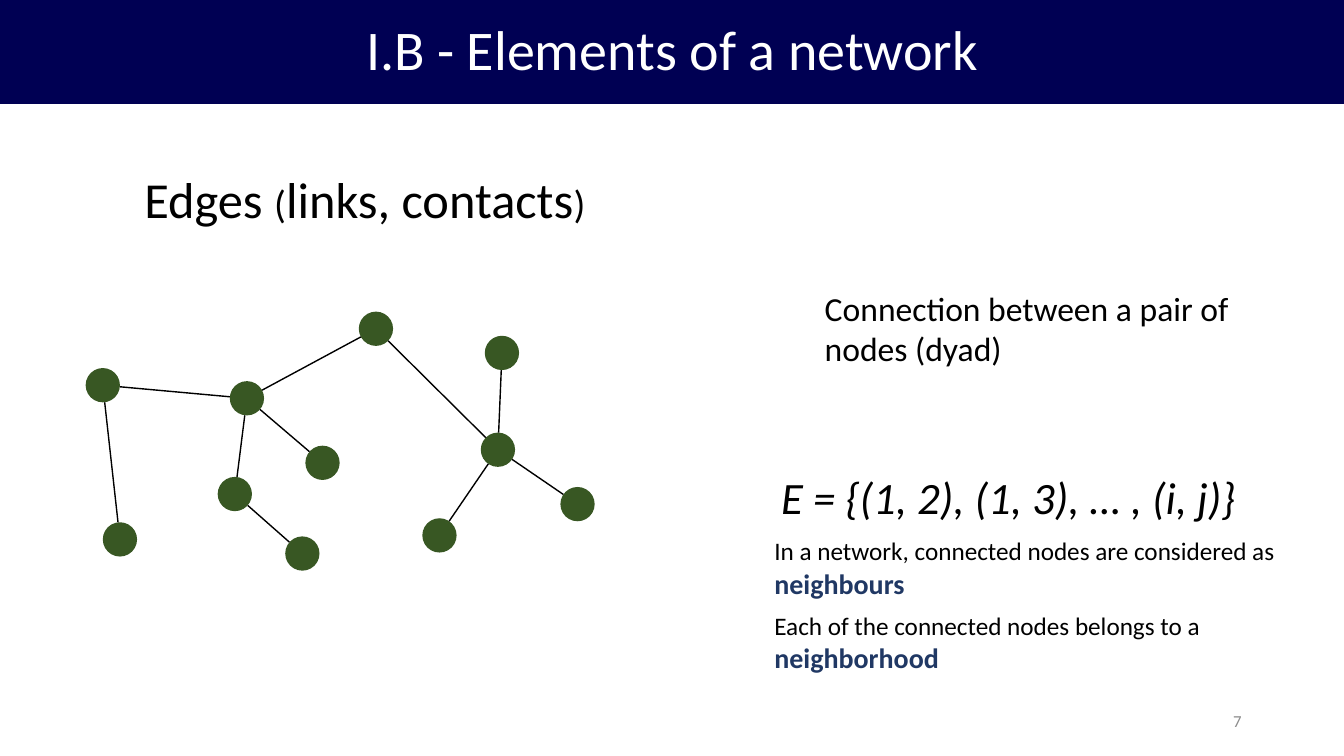
import math

import pptx
import pptx.dml.color
import pptx.enum.shapes
import pptx.enum.text
import pptx.oxml.ns
import pptx.util
from lxml import etree

RGB = pptx.dml.color.RGBColor
ALIGN = pptx.enum.text.PP_ALIGN
ANCHOR = pptx.enum.text.MSO_ANCHOR
FIT = pptx.enum.text.MSO_AUTO_SIZE

NAVY = RGB(0x00, 0x00, 0x53)
GREEN = RGB(0x38, 0x57, 0x23)
BLUE = RGB(0x20, 0x38, 0x64)
GREY = RGB(0x8C, 0x8C, 0x8C)
BLACK = RGB(0, 0, 0)
WHITE = RGB(255, 255, 255)

FONT = "Calibri"
COLUMNS, ROWS = 160, 90
CELL = pptx.util.Inches(7.5) // ROWS
NODE = 4.08

NODES = {
    "west": (0, 6.72),
    "southwest": (2.04, 25.08),
    "hub": (17.16, 8.28),
    "below hub": (15.72, 19.68),
    "south": (23.76, 26.76),
    "middle": (26.16, 15.96),
    "top": (32.52, 0),
    "east hub": (47.04, 14.4),
    "northeast": (47.52, 2.88),
    "southeast": (40.08, 24.6),
    "east": (56.52, 20.88),
}
EDGES = [
    ("west", "hub"),
    ("west", "southwest"),
    ("hub", "below hub"),
    ("hub", "middle"),
    ("hub", "top"),
    ("below hub", "south"),
    ("top", "east hub"),
    ("southeast", "east hub"),
    ("northeast", "east hub"),
    ("east hub", "east"),
]
NOTES = [
    ("In a network, connected nodes are considered as ", "neighbours"),
    ("Each of the connected nodes belongs to a ", "neighborhood"),
]


def cells(*lengths):
    return [round(length * CELL) for length in lengths]


def write(p, text, size=18, color=BLACK, bold=False, italic=False):
    r = p.add_run()
    r.text = text
    r.font.name = FONT
    r.font.size = pptx.util.Pt(size)
    r.font.color.rgb = color
    r.font.bold = bold
    r.font.italic = italic


def add_text_box(s, box, wrap=True):
    tf = s.shapes.add_textbox(*cells(*box)).text_frame
    tf.word_wrap = wrap
    tf.auto_size = FIT.SHAPE_TO_FIT_TEXT
    return tf


def add_title(s, box):
    title = s.shapes.title
    title.left, title.top, title.width, title.height = cells(*box)
    title.fill.solid()
    title.fill.fore_color.rgb = NAVY
    tf = title.text_frame
    tf.auto_size = FIT.NONE
    tf.vertical_anchor = ANCHOR.MIDDLE
    p = tf.paragraphs[0]
    p.alignment = ALIGN.CENTER
    p.line_spacing = 0.9
    write(p, "I.B - Elements of a network", size=40, color=WHITE)


def add_heading(s, box):
    p = add_text_box(s, box, wrap=False).paragraphs[0]
    for text, size in [("Edges ", 36), ("(", 28), ("links, contacts", 36), (")", 28)]:
        write(p, text, size=size)


def add_edge(s, start, end):
    angle = math.atan2(end[1] - start[1], end[0] - start[0])
    dx, dy = NODE / 2 * math.cos(angle), NODE / 2 * math.sin(angle)
    line = s.shapes.add_connector(
        pptx.enum.shapes.MSO_CONNECTOR.STRAIGHT,
        *cells(start[0] + dx, start[1] + dy, end[0] - dx, end[1] - dy))
    line.line.color.rgb = BLACK
    line.line.width = pptx.util.Pt(1)
    etree.SubElement(line.element.spPr, pptx.oxml.ns.qn("a:effectLst"))


def add_network(s, box):
    left, top = box[:2]
    centres = {}
    for name, (x, y) in NODES.items():
        node = s.shapes.add_shape(
            pptx.enum.shapes.MSO_SHAPE.OVAL, *cells(left + x, top + y, NODE, NODE))
        node.shadow.inherit = False
        node.fill.solid()
        node.fill.fore_color.rgb = GREEN
        node.line.fill.background()
        centres[name] = (left + x + NODE / 2, top + y + NODE / 2)
    for start, end in EDGES:
        add_edge(s, centres[start], centres[end])


def add_definitions(s, box):
    left, top, width, height = box
    tf = add_text_box(s, (left + 6, top, width - 6, 10.9))
    write(tf.paragraphs[0], "Connection between a pair of nodes (dyad)", size=24)
    tf = add_text_box(s, (left + 0.8, top + 21.6, 57.2, 7.7), wrap=False)
    write(tf.paragraphs[0], "E = {(1, 2), (1, 3), … , (i, j)}", size=32, italic=True)
    note_height = 8.9
    notes_top = top + height - note_height * len(NOTES)
    for i, (text, term) in enumerate(NOTES):
        tf = add_text_box(s, (left, notes_top + i * note_height, width, note_height))
        p = tf.paragraphs[0]
        write(p, text)
        write(p, term, size=20, color=BLUE, bold=True)


def add_page_number(s, box):
    tf = add_text_box(s, box)
    tf.auto_size = FIT.NONE
    tf.vertical_anchor = ANCHOR.MIDDLE
    p = tf.paragraphs[0]
    p.alignment = ALIGN.RIGHT
    write(p, "7", size=12, color=GREY)


def main():
    prs = pptx.Presentation()
    prs.slide_width, prs.slide_height = cells(COLUMNS, ROWS)
    s = prs.slides.add_slide(prs.slide_layouts[5])
    add_title(s, (0, 0, COLUMNS, 12.36))
    add_heading(s, (16, 19.4, 55.4, 8.5))
    add_network(s, (10.2, 37.1, 60.6, 30.84))
    add_definitions(s, (91, 33.7, 64.7, 47.3))
    add_page_number(s, (113, 83.4, 36, 4.8))
    prs.save("out.pptx")


if __name__ == "__main__":
    main()
